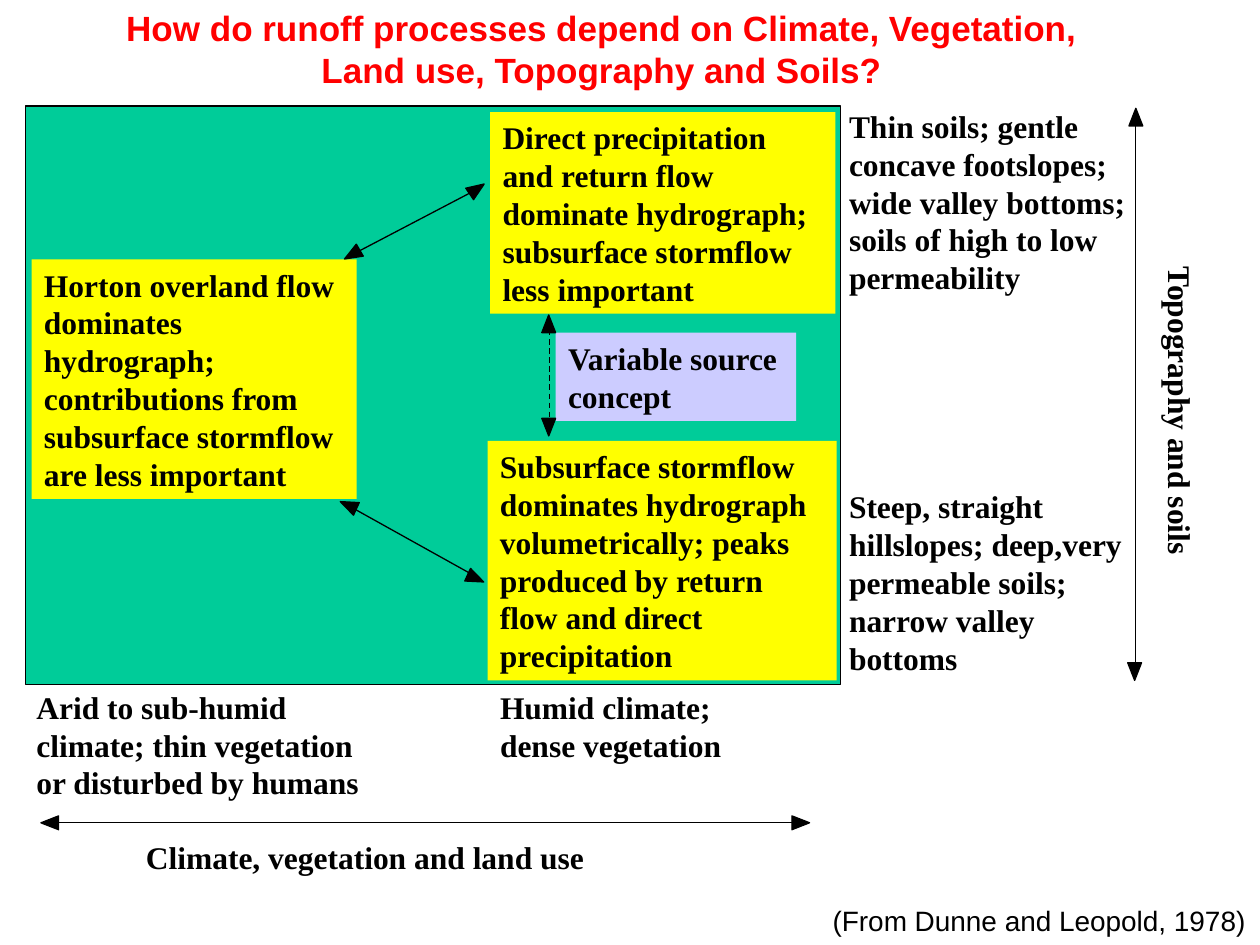
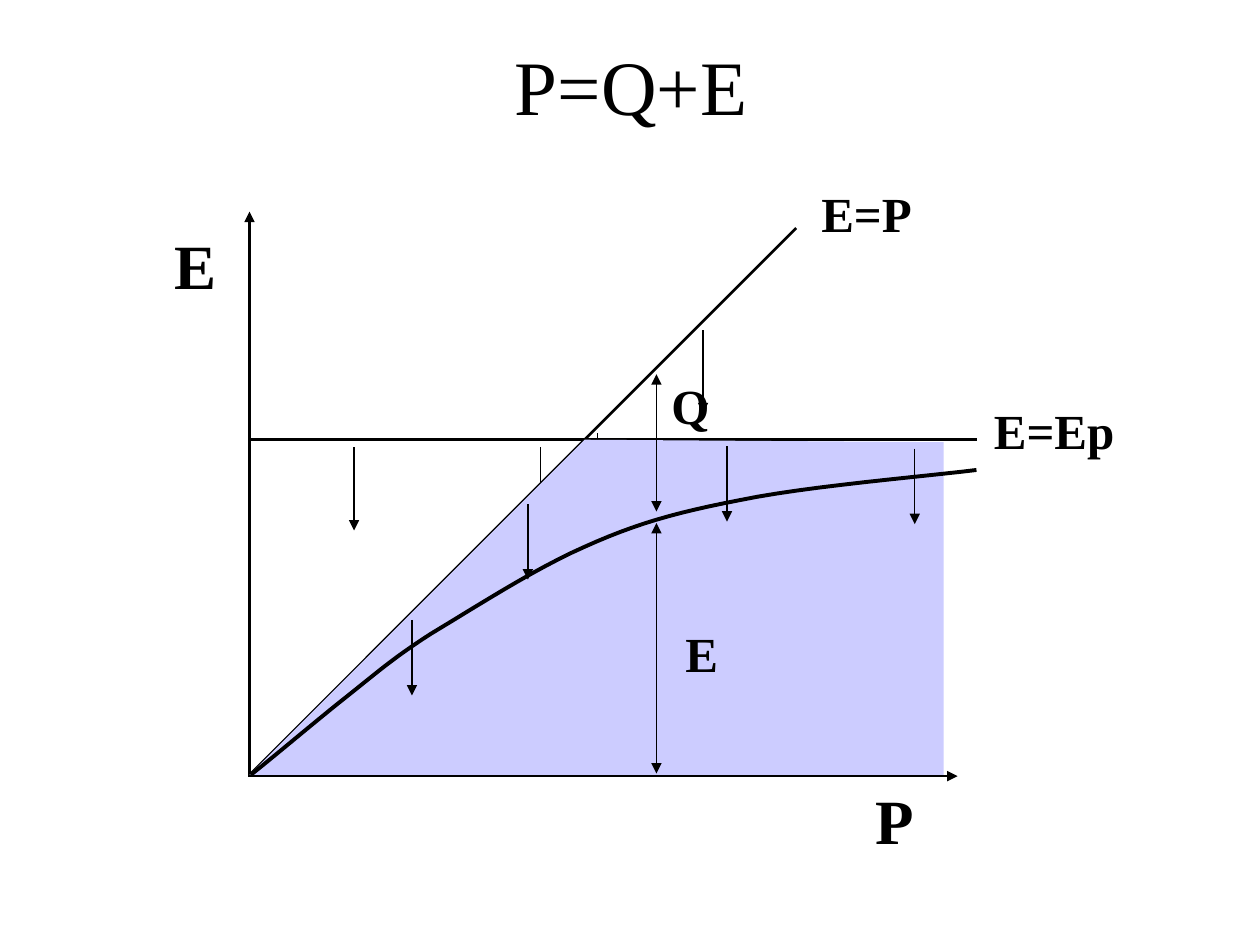
from lxml.etree import SubElement
from pptx import Presentation
from pptx.dml.color import RGBColor
from pptx.enum.dml import MSO_LINE_DASH_STYLE as Dash
from pptx.enum.shapes import MSO_CONNECTOR as Connector, MSO_SHAPE as Shape
from pptx.enum.text import MSO_ANCHOR as Anchor, MSO_AUTO_SIZE as AutoSize, PP_ALIGN as Align
from pptx.oxml.ns import qn
from pptx.util import Emu, Pt

PX = 9144
BLACK, RED = "000000", "FF0000"
GREEN, YELLOW, LILAC = "00CC99", "FFFF00", "CCCCFF"
SERIF, SANS = "Times New Roman", "Arial"
TITLE_ONLY = 5


def px(length):
    return Emu(round(length * PX))


def color(value):
    return RGBColor.from_string(value)


def write(box, text, size, font=SERIF, bold=True, tint=BLACK, align=Align.LEFT,
          anchor=Anchor.TOP, wrap=True):
    frame = box.text_frame
    frame.text = text
    frame.word_wrap = wrap
    frame.auto_size = AutoSize.NONE
    frame.vertical_anchor = anchor
    para = frame.paragraphs[0]
    para.alignment = align
    para.font.name = font
    para.font.size = Pt(size)
    para.font.bold = bold
    para.font.color.rgb = color(tint)


def add_page(deck, title, area, size, font, bold, tint):
    page = deck.slides.add_slide(deck.slide_layouts[TITLE_ONLY])
    box = page.shapes.title
    box.left, box.top, box.width, box.height = map(px, area)
    write(box, title, size, font, bold, tint, Align.CENTER, Anchor.MIDDLE)
    return page


def add_label(page, text, area, size=18, rotation=0, **style):
    box = page.shapes.add_textbox(*map(px, area))
    box.rotation = rotation
    write(box, text, size, **style)


def paint(shape, fill, outline=None):
    shape.shadow.inherit = False
    shape.fill.solid()
    shape.fill.fore_color.rgb = color(fill)
    if outline:
        shape.line.color.rgb = color(outline)
        shape.line.width = Pt(0.75)
    else:
        shape.line.fill.background()


def add_panel(page, area, fill, text=None, outline=None):
    panel = page.shapes.add_shape(Shape.RECTANGLE, *map(px, area))
    paint(panel, fill, outline)
    if text:
        write(panel, text, 18)


def add_line(page, start, end, width=0.75, ends=(), dash=None):
    line = page.shapes.add_connector(Connector.STRAIGHT, *map(px, start + end))
    line.line.color.rgb = color(BLACK)
    line.line.width = Pt(width)
    if dash:
        line.line.dash_style = dash
    outline = line.line._get_or_add_ln()
    for name in ends:
        SubElement(outline, qn(f"a:{name}End")).set("type", "triangle")
    SubElement(line._element.spPr, qn("a:effectLst"))


def add_down_arrow(page, left, top, length):
    add_line(page, (left, top), (left, top + length), ends=("tail",))


def add_tip(page, left, top, rotation):
    tip = page.shapes.add_shape(Shape.ISOSCELES_TRIANGLE, *map(px, (left, top, 11, 14)))
    tip.rotation = rotation
    paint(tip, BLACK, BLACK)


def add_outline(page, points, close):
    (left, top), *others = [(px(x), px(y)) for x, y in points]
    builder = page.shapes.build_freeform(left, top, scale=1.0)
    builder.add_line_segments(others, close=close)
    return builder.convert_to_shape()


def bezier_points(start, segments, steps=12):
    points = [start]
    for knots in segments:
        knots = (points[-1],) + knots
        for step in range(1, steps + 1):
            t = step / steps
            weights = (1 - t) ** 3, 3 * t * (1 - t) ** 2, 3 * t * t * (1 - t), t ** 3
            points.append(tuple(sum(w * knot[axis] for w, knot in zip(weights, knots))
                                for axis in (0, 1)))
    return points


def build_runoff_page(deck):
    page = add_page(
        deck, "How do runoff processes depend on Climate, Vegetation, Land use, "
        "Topography and Soils?", (63, 0, 829, 77), 20, SANS, True, RED)
    add_panel(page, (20, 84, 647, 459), GREEN, outline=BLACK)
    for text, area, fill in (
        ("Horton overland flow dominates hydrograph; contributions from subsurface "
         "stormflow are less important", (25, 206, 258, 190), YELLOW),
        ("Direct precipitation and return flow dominate hydrograph; subsurface "
         "stormflow less important", (389, 89, 274, 160), YELLOW),
        ("Subsurface stormflow dominates hydrograph volumetrically; peaks produced by "
         "return flow and direct precipitation", (387, 350, 277, 190), YELLOW),
        ("Variable source concept", (441, 264, 191, 70), LILAC),
    ):
        add_panel(page, area, fill, text)

    for text, area in (
        ("Arid to sub-humid climate; thin vegetation or disturbed by humans",
         (19, 541, 299, 100)),
        ("Humid climate; dense vegetation", (387, 541, 235, 70)),
        ("Steep, straight hillslopes; deep,very permeable soils; narrow valley bottoms",
         (664, 382, 240, 160)),
        ("Thin soils; gentle concave footslopes; wide valley bottoms; soils of high to "
         "low permeability", (664, 80, 246, 160)),
        ("Climate, vegetation and land use", (106, 660, 420, 40)),
    ):
        add_label(page, text, area)
    add_label(page, "Topography and soils", (756, 363, 362, 40), rotation=90)

    for start, end, dash in (
        ((33, 653), (638, 653), None),
        ((901, 532), (901, 90), None),
        ((381, 149), (274, 205), None),
        ((382, 460), (276, 401), None),
        ((436, 255), (436, 346), Dash.DASH),
    ):
        add_line(page, start, end, dash=dash)
    for left, top, rotation in (
        (895, 526, 180), (896, 86, 0), (430, 250, 0), (430, 332, 180),
        (630, 646, 90), (34, 646, 270), (271, 394, 294.5), (372, 452, 114.5),
        (373, 143, 55.7), (274, 195, 240),
    ):
        add_tip(page, left, top, rotation)
    add_label(page, "(From Dunne and Leopold, 1978)", (651, 712, 349, 37), 16,
              font=SANS, bold=False, wrap=False)


def build_balance_page(deck):
    page = add_page(deck, "P=Q+E", (76, 19, 850, 96), 44, SERIF, False, BLACK)
    add_line(page, (197, 616), (760, 616), 1.5, ("tail",))
    add_line(page, (198, 616), (198, 168), 1.5, ("tail",))
    add_label(page, "P", (685, 615, 51, 70), 36, wrap=False)
    add_label(page, "E", (129, 175, 56, 70), 36, wrap=False)

    for left, top in ((474, 344), (558, 262), (281, 355), (429, 355)):
        add_down_arrow(page, left, top, 66)
    add_line(page, (198, 615), (632, 181), 1.5)
    add_label(page, "E=P", (642, 141, 98, 57), 28, wrap=False)
    add_line(page, (199, 349), (775, 349), 1.5)
    add_label(page, "E=Ep", (779, 313, 135, 57), 28)

    region = add_outline(page, [(198, 615), (464, 349), (749, 351), (749, 615)], True)
    paint(region, LILAC)
    for left, top in ((726, 356), (577, 354), (419, 400), (327, 492)):
        add_down_arrow(page, left, top, 60)

    curve = add_outline(page, bezier_points((199, 615), (
        ((212, 605), (251, 572), (275, 553)),
        ((299, 534), (311, 523), (342, 503)),
        ((374, 484), (423, 452), (464, 434)),
        ((504, 416), (535, 407), (587, 397)),
        ((639, 386), (736, 378), (775, 373)),
    )), False)
    curve.shadow.inherit = False
    curve.fill.background()
    curve.line.color.rgb = color(BLACK)
    curve.line.width = Pt(2.25)

    for top, bottom in ((415, 614), (297, 406)):
        add_line(page, (521, top), (521, bottom), ends=("head", "tail"))
    add_label(page, "E", (534, 490, 48, 57), 28, wrap=False)
    add_label(page, "Q", (523, 293, 51, 57), 28, wrap=False)


def main():
    deck = Presentation()
    deck.slide_width, deck.slide_height = px(1000), px(750)
    build_runoff_page(deck)
    build_balance_page(deck)
    deck.save("out.pptx")


if __name__ == "__main__":
    main()
